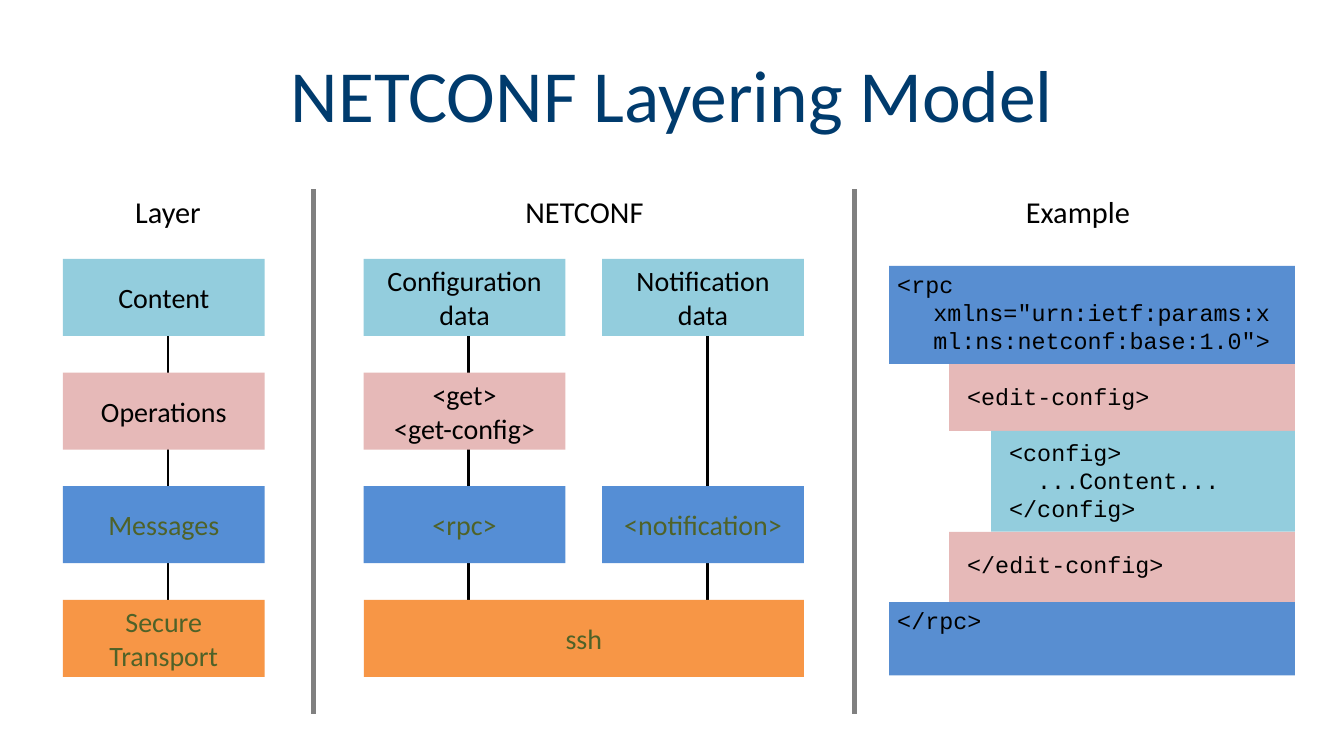
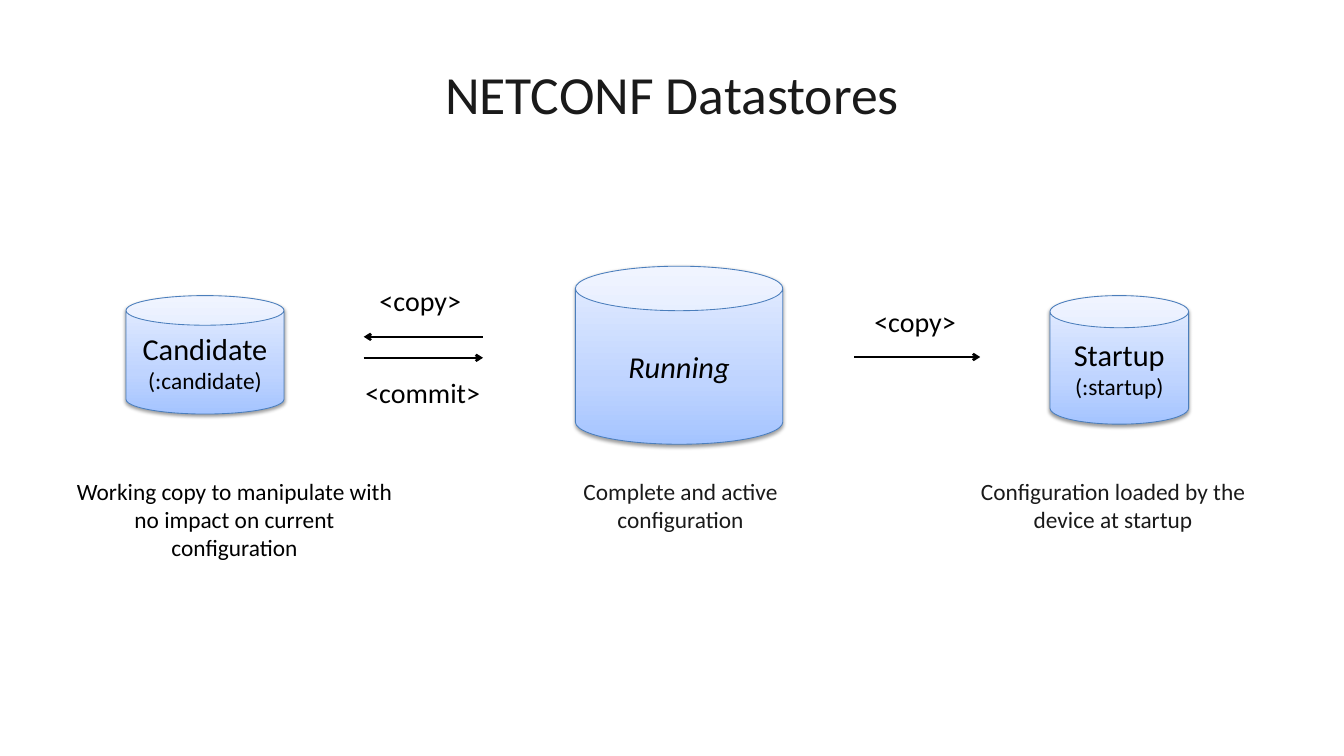
import copy

import lxml.etree
import pptx
import pptx.dml.color
import pptx.enum.shapes
import pptx.enum.text
import pptx.oxml.ns
import pptx.util

Pt = pptx.util.Pt
RGBColor = pptx.dml.color.RGBColor
SHAPES = pptx.enum.shapes.MSO_SHAPE
ALIGN = pptx.enum.text.PP_ALIGN
ANCHOR = pptx.enum.text.MSO_ANCHOR
qn = pptx.oxml.ns.qn

BLACK = RGBColor(0x00, 0x00, 0x00)
INK = RGBColor(0x1A, 0x1A, 0x1A)
NAVY = RGBColor(0x00, 0x3B, 0x6D)
OLIVE = RGBColor(0x4F, 0x62, 0x28)
GRAY = RGBColor(0x80, 0x80, 0x80)
PINK = RGBColor(0xE6, 0xB9, 0xB8)
AQUA = RGBColor(0x93, 0xCD, 0xDD)
BLUE = RGBColor(0x55, 0x8E, 0xD5)
CODE_BLUE = RGBColor(0x58, 0x8E, 0xD1)
ORANGE = RGBColor(0xF7, 0x96, 0x46)
CAN_LINE = RGBColor(0x4B, 0x7E, 0xBC)
CAN_STOPS = [
    (0, RGBColor(0xA4, 0xC4, 0xFF)),
    (0.35, RGBColor(0xBF, 0xD4, 0xFF)),
    (1, RGBColor(0xE6, 0xEE, 0xFF)),
]

PAGE_WIDTH, PAGE_HEIGHT = 1152, 648
TITLE_BOX = (57.6, 26, 1036.8, 108)
DEFAULT_INSETS = (7.2, 3.6)
WIDE_INSETS = (11.5, 5.8)
LAYER_STYLES = [(AQUA, BLACK), (PINK, BLACK), (BLUE, OLIVE), (ORANGE, OLIVE)]
CELL_WIDTH, CELL_HEIGHT, ROW_STEP = 172.8, 66, 97.4
CONNECTOR_SHIFT = 3.6


def write(frame, lines, insets=DEFAULT_INSETS, anchor=ANCHOR.TOP,
          align=ALIGN.CENTER, wrap=True, **font):
    """Fill a text frame with one paragraph per (text, font changes) pair."""
    layout = {"word_wrap": wrap, "vertical_anchor": anchor,
              "margin_left": Pt(insets[0]), "margin_right": Pt(insets[0]),
              "margin_top": Pt(insets[1]), "margin_bottom": Pt(insets[1])}
    for name, value in layout.items():
        setattr(frame, name, value)
    for index, (text, changes) in enumerate(lines):
        para = frame.add_paragraph() if index else frame.paragraphs[0]
        para.alignment = align
        span = para.add_run()
        span.text = text
        values = {"name": "Calibri", "color": BLACK, **font, **changes}
        span.font.color.rgb = values.pop("color")
        for name, value in values.items():
            setattr(span.font, name, value)


def add_text(page, box, lines, **style):
    """Add a text box and return its text frame."""
    frame = page.shapes.add_textbox(*map(Pt, box)).text_frame
    write(frame, lines, **style)
    return frame


def add_block(page, box, fill):
    """Add a plain filled rectangle."""
    block = page.shapes.add_shape(SHAPES.RECTANGLE, *map(Pt, box))
    block.shadow.inherit = False
    block.fill.solid()
    block.fill.fore_color.rgb = fill
    block.line.fill.background()
    return block


def add_line(page, start, end, width, color=BLACK, arrow=False):
    """Add a straight line, with an arrowhead at its end if wanted."""
    line = page.shapes.add_connector(
        pptx.enum.shapes.MSO_CONNECTOR.STRAIGHT, *map(Pt, start + end))
    line.line.width = Pt(width)
    line.line.color.rgb = color
    if arrow:
        lxml.etree.SubElement(line.line._get_or_add_ln(), qn("a:tailEnd"), type="arrow")
    lxml.etree.SubElement(line._element.spPr, qn("a:effectLst"))


def add_page(deck, title, size, color):
    """Add a blank page with a centred title."""
    page = deck.slides.add_slide(deck.slide_layouts[6])
    add_text(page, TITLE_BOX, [(title, {})], insets=(10, 5),
             anchor=ANCHOR.MIDDLE, size=Pt(size), color=color)
    return page


def add_stack(page, left, top, cells):
    """Draw one column of layer cells, given as (row, lines, width), on its connector."""
    center = left + CELL_WIDTH / 2 + CONNECTOR_SHIFT
    add_line(page, (center, top + CELL_HEIGHT - 7), (center, top + 3 * ROW_STEP + 59), 2.25)
    for row, lines, width in cells:
        fill, color = LAYER_STYLES[row]
        cell = add_block(page, (left, top + row * ROW_STEP, width, CELL_HEIGHT), fill)
        write(cell.text_frame, [(line, {}) for line in lines],
              anchor=ANCHOR.MIDDLE, size=Pt(24), color=color)


def add_layers(page, top):
    """Draw the layer names and the two protocol stacks."""
    layers, requests, notices = 54, 311.8, 516.2
    ssh_width = notices + CELL_WIDTH - requests
    names = [["Content"], ["Operations"], ["Messages"], ["Secure", "Transport"]]
    add_stack(page, layers, top,
              [(row, lines, CELL_WIDTH) for row, lines in enumerate(names)])
    add_stack(page, notices, top, [
        (0, ["Notification", "data"], CELL_WIDTH),
        (2, ["<notification>"], CELL_WIDTH)])
    add_stack(page, requests, top, [
        (0, ["Configuration", "data"], CELL_WIDTH),
        (1, ["<get>", "<get-config>"], CELL_WIDTH),
        (2, ["<rpc>"], CELL_WIDTH),
        (3, ["ssh"], ssh_width)])


def add_example(page, left, top, width, bottom):
    """Draw the nested bands and the message text over them."""
    bands = [(0, 0, CODE_BLUE), (51.6, 84, PINK), (87.6, 141.4, AQUA),
             (51.6, 227.8, PINK), (0, 288.2, CODE_BLUE)]
    ends = [offset for _, offset, _ in bands[1:]] + [bottom - top]
    for (inset, offset, fill), end in zip(bands, ends):
        add_block(page, (left + inset, top + offset, width - inset, end - offset), fill)

    pitch, wrap_indent = 24, 31
    code = [('<rpc xmlns="urn:ietf:params:xml:ns:netconf:base:1.0">', 0, 0),
            ("<edit-config>", 60, pitch), ("<config>", 96, pitch),
            ("...Content...", 120, 0), ("</config>", 96, 0),
            ("</edit-config>", 60, pitch), ("</rpc>", 0, pitch)]
    frame = add_text(page, (left, top, 338.4, 322.6), [(text, {}) for text, _, _ in code],
                     align=ALIGN.LEFT, name="Courier New", size=Pt(20))
    for para, (_, indent, gap) in zip(frame.paragraphs, code):
        para.line_spacing = Pt(pitch)
        para.space_before = Pt(gap)
        properties = para._p.get_or_add_pPr()
        properties.set("marL", str(Pt(indent + wrap_indent)))
        properties.set("indent", str(Pt(-wrap_indent)))


def add_layering_page(deck):
    """Build the page on the layering model."""
    page = add_page(deck, "NETCONF Layering Model", 63, NAVY)
    add_layers(page, 222)
    for x in (268.6, 732.2):
        add_line(page, (x, 162), (x, 612), 4.5, GRAY)
    for heading, left, width in (("Layer", 24, 240), ("NETCONF", 276, 450),
                                 ("Example", 738, 372)):
        add_text(page, (left, 162, width, 40), [(heading, {})], size=Pt(26))
    add_example(page, 762, 228, 348, 579)


def add_store(page, box, lines):
    """Draw a datastore as a shaded can with its name."""
    can = page.shapes.add_shape(SHAPES.CAN, *map(Pt, box))
    can.fill.gradient()
    can.fill.gradient_angle = 90
    stops = can._element.spPr.find(".//" + qn("a:gsLst"))
    stops.append(copy.deepcopy(stops[0]))
    for stop, (position, color) in zip(can.fill.gradient_stops, CAN_STOPS):
        stop.position = position
        stop.color.rgb = color
    can.line.color.rgb = CAN_LINE
    can.line.width = Pt(0.75)
    can.shadow.inherit = False
    effects = can._element.spPr.find(qn("a:effectLst"))
    shadow = lxml.etree.SubElement(
        effects, qn("a:outerShdw"), blurRad=str(Pt(3.1)), dist=str(Pt(1.6)),
        dir="5400000", rotWithShape="0")
    shade = lxml.etree.SubElement(shadow, qn("a:srgbClr"), val=str(BLACK))
    lxml.etree.SubElement(shade, qn("a:alpha"), val="38000")
    write(can.text_frame, lines, insets=WIDE_INSETS, anchor=ANCHOR.MIDDLE, size=Pt(26))


def add_datastores_page(deck):
    """Build the page on the datastores and the moves between them."""
    page = add_page(deck, "NETCONF Datastores", 46, INK)
    small = {"size": Pt(20)}
    stores = [
        ((108, 253.4, 135.4, 101.5), [("Candidate", {}), ("(:candidate)", small)]),
        ((493.2, 228.2, 177.8, 152.6), [("Running", {"italic": True})]),
        ((900, 253.4, 118.8, 110.2), [("Startup", {}), ("(:startup)", small)]),
    ]
    for box, lines in stores:
        add_store(page, box, lines)

    captions = [
        (54, 293.8, "Working copy to manipulate with no impact on current configuration", BLACK),
        (455.8, 254.9, "Complete and active configuration", INK),
        (810, 288, "Configuration loaded by the device at startup", INK),
    ]
    for left, width, text, color in captions:
        add_text(page, (left, 403.2, width, 60), [(text, {})],
                 insets=WIDE_INSETS, size=Pt(20), color=color)

    for start, end, y in ((413.6, 311.8, 288.7), (311.8, 414, 306.7), (732.2, 840.2, 306)):
        add_line(page, (start, y), (end, y), 2, arrow=True)
    for text, left, top, width in (("<copy>", 318.2, 239.8, 85.7),
                                   ("<commit>", 306, 318.2, 114.5),
                                   ("<copy>", 742.3, 257.8, 85.7)):
        add_text(page, (left, top, width, 36), [(text, {})],
                 align=ALIGN.LEFT, wrap=False, size=Pt(24))


def main():
    """Build and save the deck."""
    deck = pptx.Presentation()
    deck.slide_width, deck.slide_height = Pt(PAGE_WIDTH), Pt(PAGE_HEIGHT)
    add_layering_page(deck)
    add_datastores_page(deck)
    deck.save("out.pptx")


main()
